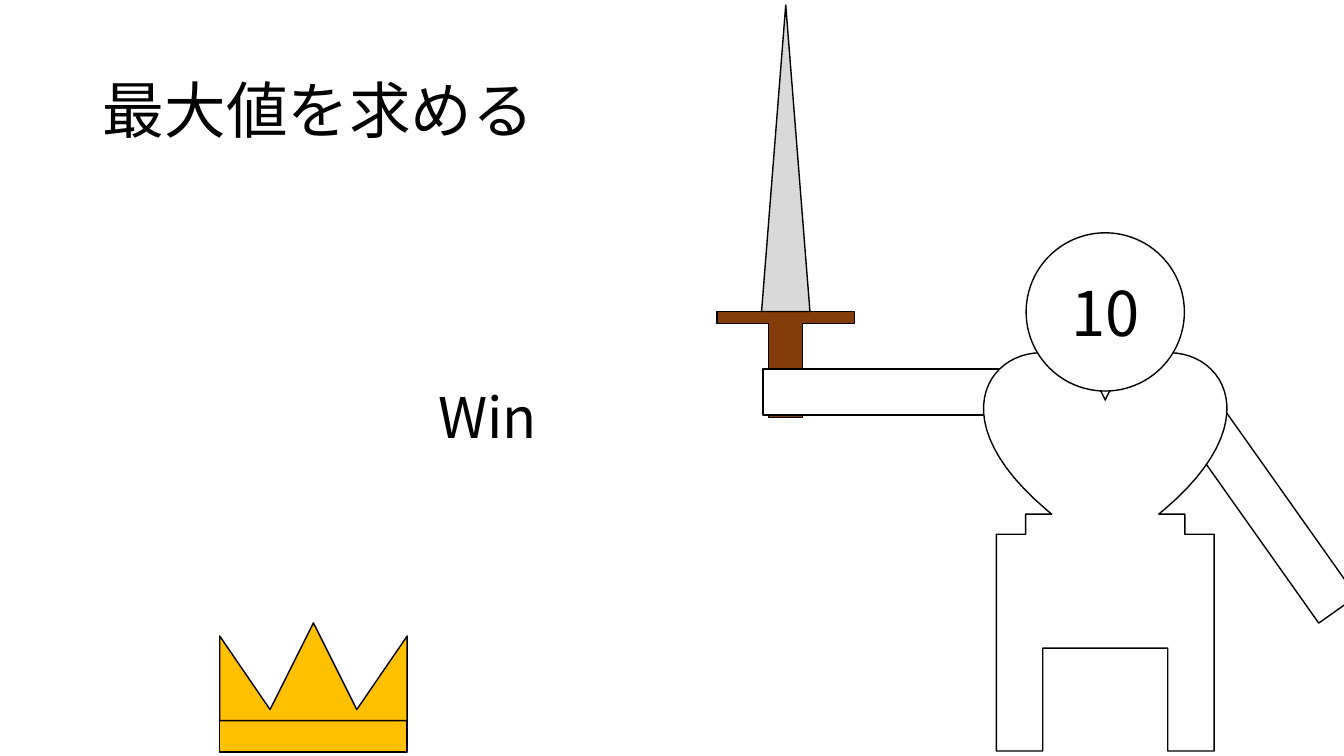
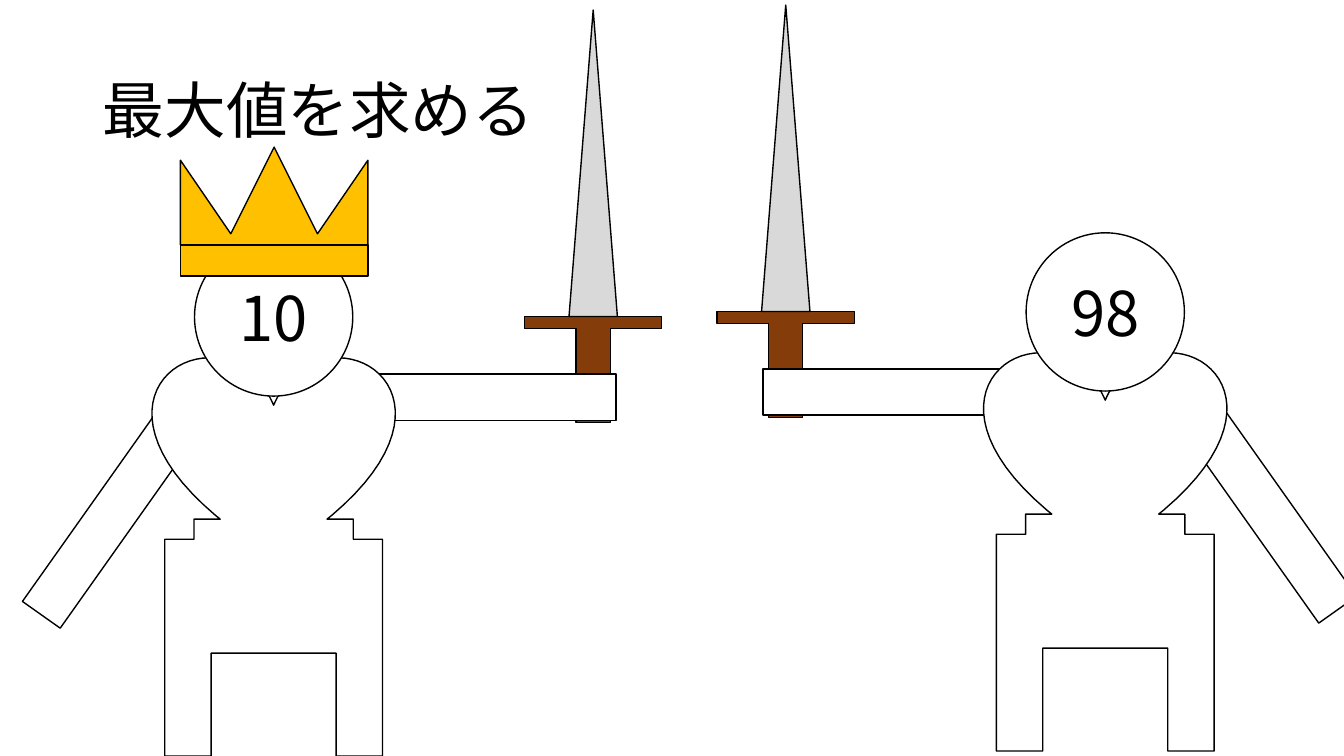
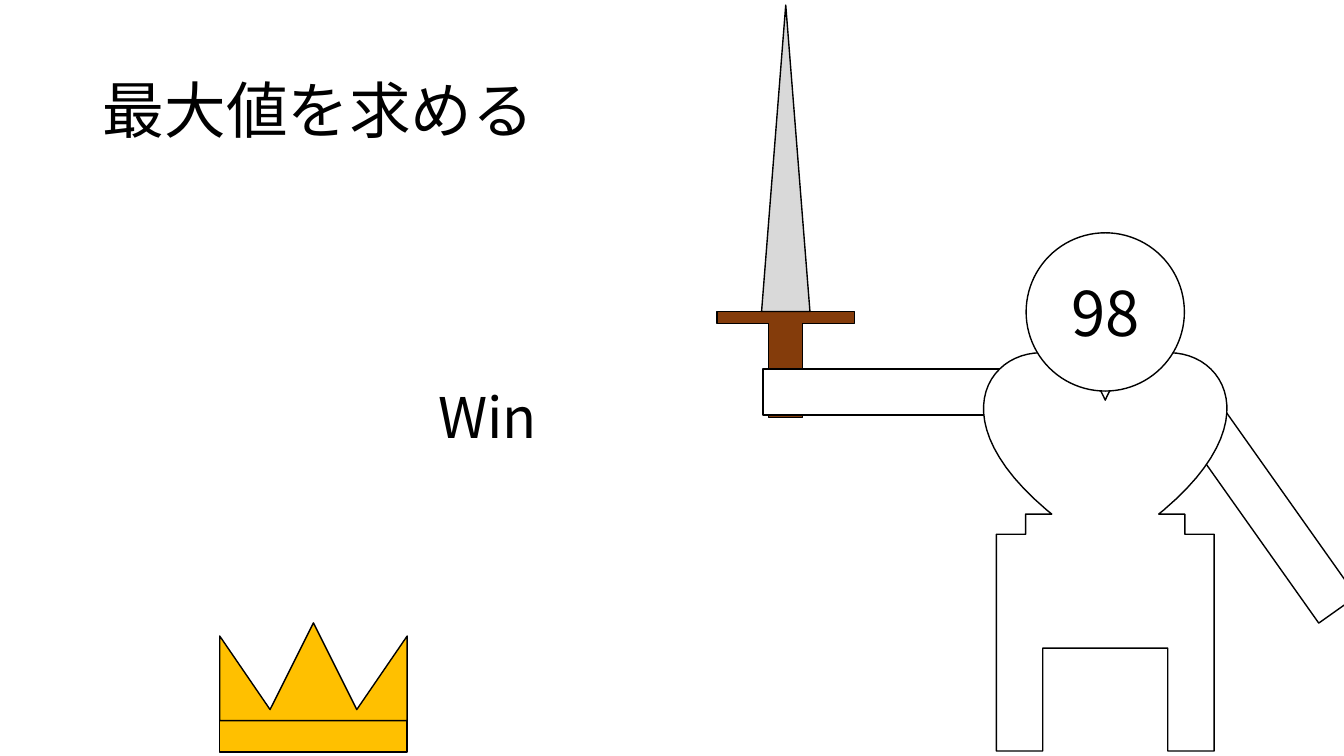
import collections
import pptx
import pptx.util
import pptx.dml.color
import pptx.enum.shapes
import pptx.enum.text
import pptx.oxml.ns
import lxml.etree

COLORS = {"ink": "000000", "paper": "FFFFFF", "steel": "D9D9D9",
          "wood": "843C0B", "gold": "FFC000"}
FONT = "Noto Sans CJK JP"
CELL = pptx.util.Inches(0.1)  # the slide is a grid of 133.3 x 75 cells
SHAPE = pptx.enum.shapes.MSO_SHAPE
ANCHOR = pptx.enum.text.MSO_ANCHOR
FIT = pptx.enum.text.MSO_AUTO_SIZE
ALIGN = pptx.enum.text.PP_ALIGN

Box = collections.namedtuple("Box", "left top width height")
TITLE_BOX = Box(9.2, 4, 115, 14.5)
LEFT_FIGHTER = Box(15.1, 1, 24.1, 74)
RIGHT_FIGHTER = Box(97.6, 0.5, 24.1, 74)
WORN_CROWN = Box(17.9, 14.6, 18.6, 12.8)
FALLEN_CROWN = Box(21.8, 61.8, 18.6, 12.8)
RESULT_BOX = Box(42.5, 37.5, 13.6, 7.7)


def cells(count):
    return round(count * CELL)


def apply(target, values):
    for name, value in values.items():
        setattr(target, name, value)


def color(name):
    return pptx.dml.color.RGBColor.from_string(COLORS[name])


def write(shape, text, size, frame_format, para_format):
    """Put one formatted paragraph into a shape."""
    frame = shape.text_frame
    apply(frame, {"word_wrap": True, **frame_format})
    para = frame.paragraphs[0]
    apply(para, para_format)
    span = para.add_run()
    span.text = text
    apply(span.font, {"size": pptx.util.Pt(size), "name": FONT})
    span.font.color.rgb = color("ink")
    east_asian = lxml.etree.SubElement(span._r.get_or_add_rPr(),
                                       pptx.oxml.ns.qn("a:ea"))
    east_asian.set("typeface", FONT)


def paint(shape, fill):
    shape.shadow.inherit = False
    shape.fill.solid()
    shape.fill.fore_color.rgb = color(fill)
    shape.line.color.rgb = color("ink")
    shape.line.width = pptx.util.Pt(1)
    return shape


def add_part(shapes, kind, box, fill):
    return paint(shapes.add_shape(kind, *map(cells, box)), fill)


def add_outline(shapes, points, fill):
    points = [(cells(x), cells(y)) for x, y in points]
    builder = shapes.build_freeform(*points[0])
    builder.add_line_segments(points[1:], close=True)
    return paint(builder.convert_to_shape(), fill)


def curve(start, first, second, end, steps=24):
    """Points along a cubic curve, without its start."""
    for step in range(1, steps + 1):
        t = step / steps
        weights = ((1 - t) ** 3, 3 * t * (1 - t) ** 2, 3 * t * t * (1 - t), t ** 3)
        yield tuple(sum(w * point[axis] for w, point in
                        zip(weights, (start, first, second, end)))
                    for axis in (0, 1))


def symmetric(half, center, top):
    """Complete a half outline by its mirror image."""
    mirrored = [(-x, y) for x, y in reversed(half) if x]
    return [(center + x, top + y) for x, y in half + mirrored]


NOTCH, SHOULDER, WAIST = (0, 39.2), (6.4, 34.5), (5.8, 50.1)
HALF_BODY = [
    NOTCH,
    *curve(NOTCH, (1.4, 35.9), (4, 34.5), SHOULDER),
    *curve(SHOULDER, (11.7, 34.5), (16.2, 41.3), WAIST),
    (5.3, 50.5), (7.9, 50.5), (7.9, 52.5), (10.8, 52.5),
    (10.8, 74), (6.2, 74), (6.2, 63.8)]
HALF_SWORD_HILT = [(6.8, 30.4), (6.8, 31.6), (1.7, 31.6), (1.7, 40.9)]
HALF_CROWN = [(0, 0), (4.3, 8.6), (9.3, 1.3), (9.3, 9.7)]


def add_fighter(page, box, facing, number):
    """Fighter around the box's middle; facing is 1 (right) or -1 (left)."""
    shapes = page.shapes.add_group_shape().shapes
    center = box.left + box.width / 2

    def limb(middle, top, width, height):
        return Box(center + facing * middle - width / 2, box.top + top, width, height)

    # Sword
    reach = 31.7
    add_outline(shapes, symmetric(HALF_SWORD_HILT, center + facing * reach, box.top),
                "wood")
    add_part(shapes, SHAPE.ISOSCELES_TRIANGLE, limb(reach, 0, 4.8, 30.4), "steel")
    # Arms
    add_part(shapes, SHAPE.RECTANGLE, limb(20.1, 36.1, 27.7, 4.6), "paper")
    lowered = add_part(shapes, SHAPE.RECTANGLE, limb(-14.7, 45.9, 28.9, 4.6), "paper")
    lowered.rotation = -54.7 * facing
    # Body and numbered head
    add_outline(shapes, symmetric(HALF_BODY, center, box.top), "paper")
    head = add_part(shapes, SHAPE.OVAL, limb(0, 22.6, 15.7, 15.7), "paper")
    write(head, number, 44, {"vertical_anchor": ANCHOR.MIDDLE},
          {"alignment": ALIGN.CENTER})


def add_crown(page, box):
    spikes = 9.7
    add_part(page.shapes, SHAPE.RECTANGLE,
             Box(box.left, box.top + spikes, box.width, box.height - spikes), "gold")
    add_outline(page.shapes,
                symmetric(HALF_CROWN, box.left + box.width / 2, box.top), "gold")


def add_result(page, box, text):
    label = page.shapes.add_textbox(*map(cells, box))
    write(label, text, 40, {"auto_size": FIT.SHAPE_TO_FIT_TEXT}, {})


def add_page(deck):
    """Title-only page with the shared heading."""
    page = deck.slides.add_slide(deck.slide_layouts[5])
    title = page.shapes.title
    apply(title, dict(zip(Box._fields, map(cells, TITLE_BOX))))
    write(title, "最大値を求める", 44,
          {"vertical_anchor": ANCHOR.MIDDLE, "auto_size": FIT.NONE},
          {"alignment": ALIGN.LEFT, "line_spacing": 0.9})
    return page


def add_win_page(deck, number):
    page = add_page(deck)
    add_fighter(page, RIGHT_FIGHTER, -1, number)
    add_crown(page, FALLEN_CROWN)
    add_result(page, RESULT_BOX, "Win")


def add_duel_page(deck, champion, challenger):
    page = add_page(deck)
    add_fighter(page, LEFT_FIGHTER, 1, champion)
    add_crown(page, WORN_CROWN)
    add_fighter(page, RIGHT_FIGHTER, -1, challenger)


deck = pptx.Presentation()
apply(deck, {"slide_width": cells(133.33), "slide_height": cells(75)})
add_win_page(deck, "10")
add_duel_page(deck, "10", "98")
add_win_page(deck, "98")
deck.save("out.pptx")
